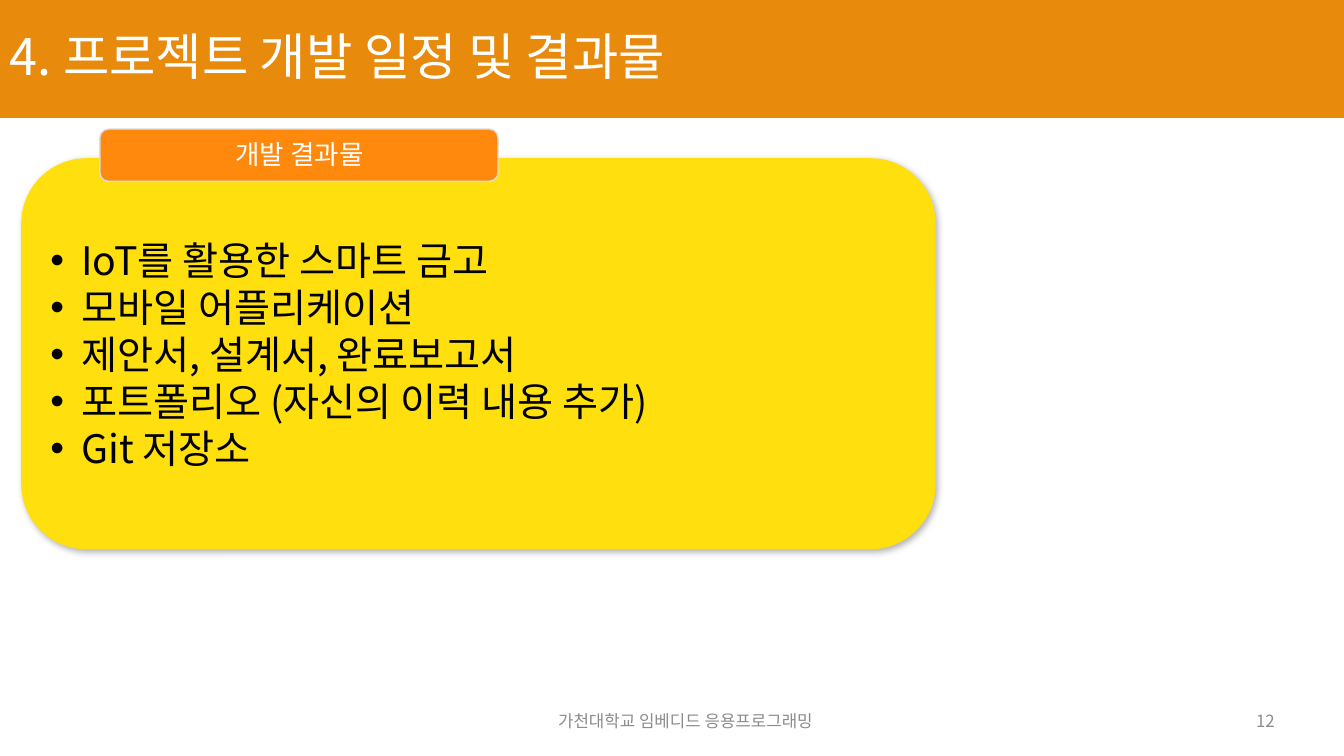
from dataclasses import dataclass

from lxml import etree
from pptx import Presentation, util as u
from pptx.dml.color import RGBColor
from pptx.enum import shapes, text
from pptx.oxml import ns, parse_xml


@dataclass(frozen=True)
class Theme:
    font: str = "Noto Sans CJK KR"
    band: str = "E88A0C"
    panel: str = "FFDF0D"
    tab: str = "FF890D"
    edge: str = "DDDDDD"
    ink: str = "000000"
    white: str = "FFFFFF"
    gray: str = "8C8C8C"
    head: int = 36
    body: int = 28
    label: int = 19
    foot: int = 12


@dataclass(frozen=True)
class Area:
    left: float
    top: float
    width: float
    height: float

    def place(self) -> tuple[int, int, int, int]:
        return (int(WIDE * self.left / 100), int(HIGH * self.top / 100),
                int(WIDE * self.width / 100), int(HIGH * self.height / 100))


@dataclass(frozen=True)
class Copy:
    lines: tuple[str, ...]
    size: int
    color: str
    align: text.PP_ALIGN = text.PP_ALIGN.LEFT
    space: float = 1.0
    inset: float = 0.1
    bullet: bool = False


@dataclass(frozen=True)
class Note:
    area: Area
    copy: Copy


WIDE, HIGH = u.Inches(13.33), u.Inches(7.5)
THEME = Theme()
CENTER, RIGHT = text.PP_ALIGN.CENTER, text.PP_ALIGN.RIGHT
RECT = shapes.MSO_SHAPE.RECTANGLE
ROUND = shapes.MSO_SHAPE.ROUNDED_RECTANGLE

TITLE = Note(Area(0, 0, 100, 15.6),
             Copy(("4. 프로젝트 개발 일정 및 결과물",), THEME.head, THEME.white, space=0.9))
PANEL = Note(Area(1.58, 20.93, 68.04, 51.73),
             Copy(("IoT를 활용한 스마트 금고", "모바일 어플리케이션", "제안서, 설계서, 완료보고서",
                   "포트폴리오 (자신의 이력 내용 추가)", "Git 저장소"),
                  THEME.body, THEME.ink, bullet=True))
TAB = Area(7.43, 17.07, 29.63, 6.93)
LABEL = Note(Area(7.65, 17.47, 29.26, 6.27),
             Copy(("개발 결과물",), THEME.label, THEME.white, CENTER, 0.9, 0.08))
FOOT = (
    Note(Area(31.58, 92.67, 38.86, 5.33),
         Copy(("가천대학교 임베디드 응용프로그래밍",), THEME.foot, THEME.gray, CENTER)),
    Note(Area(69.62, 92.67, 25.96, 5.33),
         Copy(("12",), THEME.foot, THEME.gray, RIGHT)),
)


def write(shape, copy: Copy) -> None:
    frame = shape.text_frame
    frame.text = "\n".join(copy.lines)
    frame.word_wrap = True
    frame.vertical_anchor = text.MSO_ANCHOR.MIDDLE
    frame.margin_left = frame.margin_right = u.Inches(copy.inset)
    frame.margin_top = frame.margin_bottom = u.Inches(min(copy.inset, 0.08))
    for para in frame.paragraphs:
        para.alignment = copy.align
        para.line_spacing = copy.space
        if copy.bullet:
            props = para._p.get_or_add_pPr()
            props.set("marL", str(u.Inches(0.31)))
            props.set("indent", str(-u.Inches(0.31)))
            etree.SubElement(props, ns.qn("a:buFont"), typeface="Arial")
            etree.SubElement(props, ns.qn("a:buChar"), char="•")
        for run in para.runs:
            run.font.size = u.Pt(copy.size)
            run.font.name = THEME.font
            run.font.color.rgb = RGBColor.from_string(copy.color)
            etree.SubElement(run._r.get_or_add_rPr(), ns.qn("a:ea"), typeface=THEME.font)


def block(tree, kind: shapes.MSO_SHAPE, area: Area, fill: str, edge: str = ""):
    shape = tree.add_shape(kind, *area.place())
    shape.shadow.inherit = False
    shape.fill.solid()
    shape.fill.fore_color.rgb = RGBColor.from_string(fill)
    if edge:
        shape.line.color.rgb = RGBColor.from_string(edge)
        shape.line.width = u.Pt(1)
    else:
        shape.line.fill.background()
    return shape


def shade(shape) -> None:
    effect = shape._element.spPr.find(ns.qn("a:effectLst"))
    effect.append(parse_xml(
        f'<a:outerShdw {ns.nsdecls("a")} blurRad="{u.Pt(4.5)}" dist="{u.Pt(2.6)}" '
        f'dir="{53 * 60000}" rotWithShape="0"><a:srgbClr val="{THEME.ink}">'
        '<a:alpha val="30000"/></a:srgbClr></a:outerShdw>'))


def label(tree, note: Note) -> None:
    write(tree.add_textbox(*note.area.place()), note.copy)


def main() -> None:
    deck = Presentation()
    deck.slide_width, deck.slide_height = WIDE, HIGH
    tree = deck.slides.add_slide(deck.slide_layouts[6]).shapes

    panel = block(tree, ROUND, PANEL.area, THEME.panel)
    shade(panel)
    write(panel, PANEL.copy)
    write(block(tree, RECT, TITLE.area, THEME.band), TITLE.copy)
    for note in FOOT:
        label(tree, note)
    group = tree.add_group_shape().shapes
    block(group, ROUND, TAB, THEME.tab, THEME.edge)
    label(group, LABEL)

    deck.save("out.pptx")


if __name__ == "__main__":
    main()
